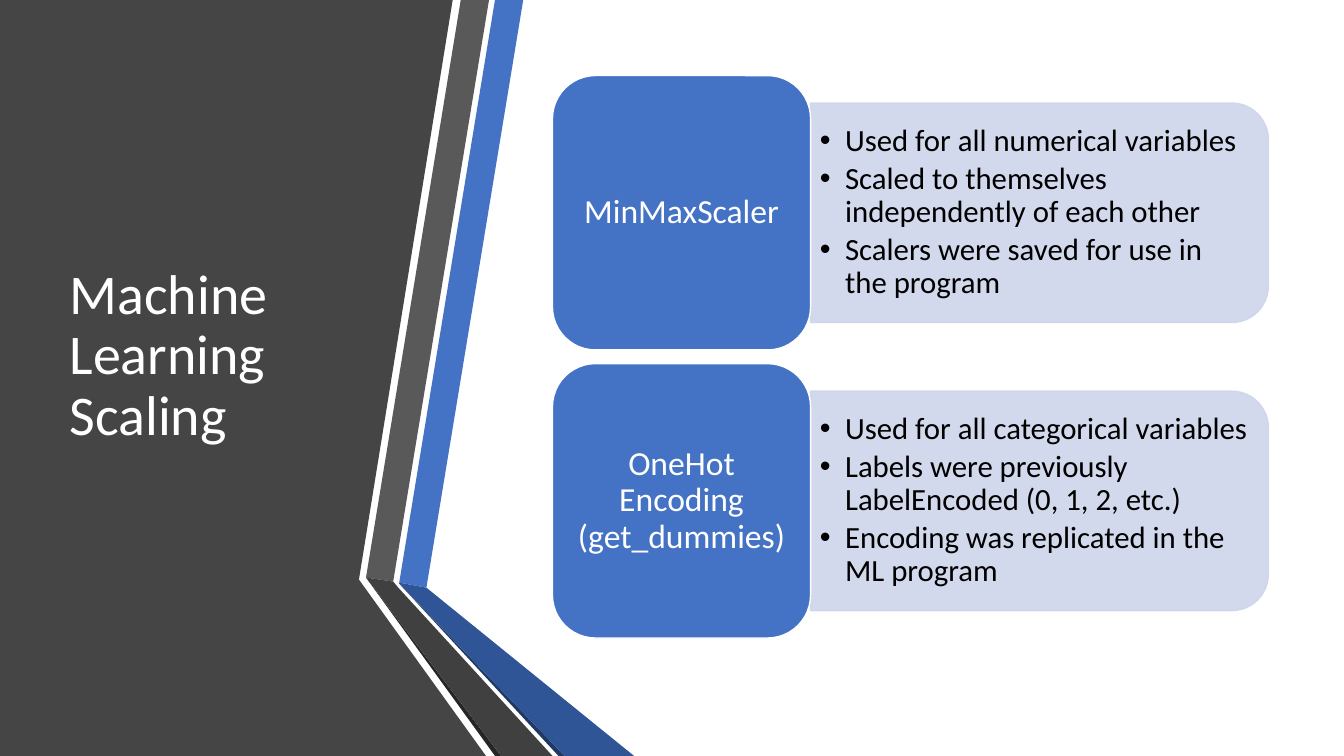
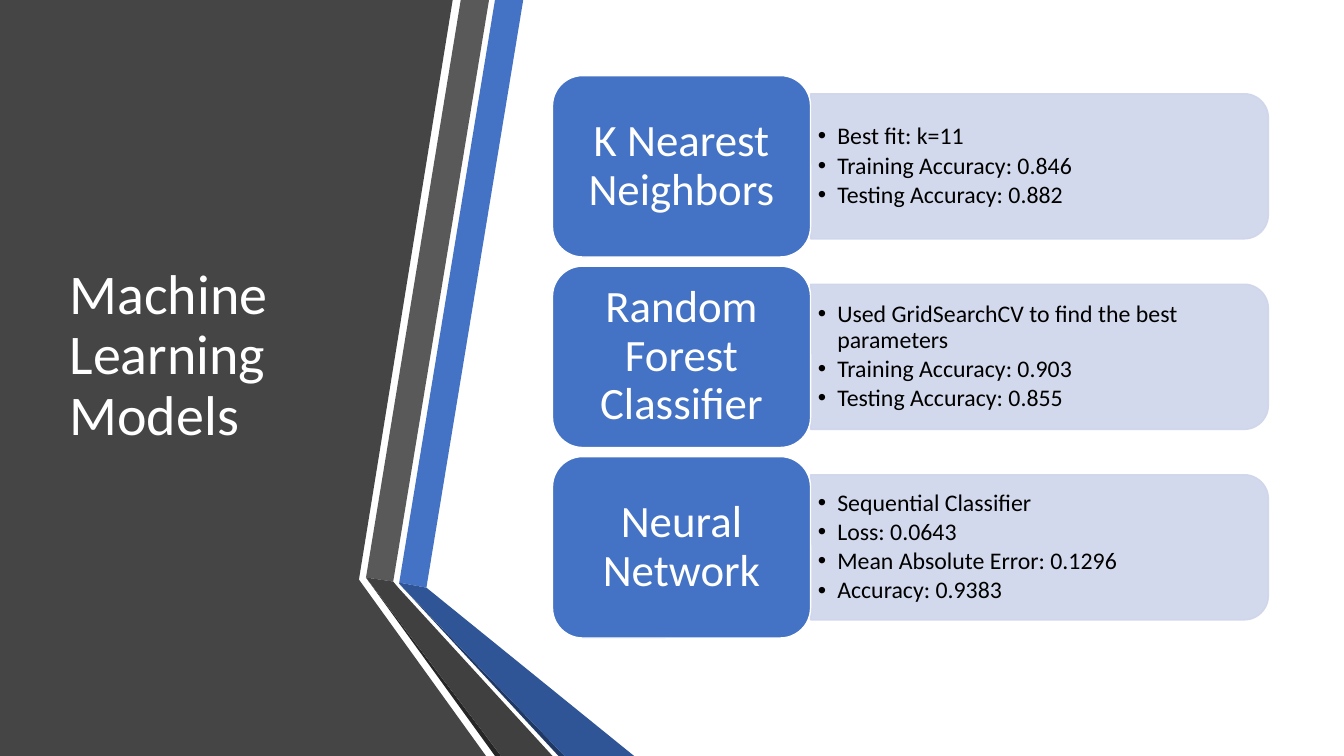
from lxml.etree import SubElement
from pptx import Presentation
from pptx.dml.color import RGBColor
from pptx.enum.shapes import MSO_SHAPE
from pptx.enum.text import MSO_ANCHOR, MSO_AUTO_SIZE, PP_ALIGN
from pptx.oxml.ns import qn
from pptx.util import Inches, Pt

HUES = {
    "wall": "454545", "blue": "4472C4", "navy": "2F5597", "deep": "203864",
    "grey": "595959", "dark": "404040", "coal": "262626",
    "pale": "CFD5EA", "white": "FFFFFF", "black": "000000",
}
BANDS = [
    ("wall", [(0, 0), (4.49, 0), (3.56, 5.75), (4.82, 7.5), (0, 7.5)]),
    ("blue", [(3.96, 5.78), (4.23, 5.83), (5.19, 0), (4.91, 0)]),
    ("grey", [(4.85, 0), (4.57, 0), (3.63, 5.73), (3.9, 5.77)]),
    ("coal", [(3.63, 5.73), (4.91, 7.5), (4.97, 7.5)]),
    ("deep", [(3.96, 5.79), (5.54, 7.5), (5.6, 7.5)]),
    ("navy", [(3.96, 5.79), (5.6, 7.5), (6.29, 7.5), (4.23, 5.83), (3.96, 5.78)]),
    ("dark", [(5.48, 7.5), (3.95, 5.83), (3.9, 5.77), (3.63, 5.73), (4.97, 7.5)]),
]
TOP, TALL = 0.75, 5.58
NODE_X, NODE_W = 5.48, 2.56
LIST_X, LIST_W = NODE_X + NODE_W, 4.54
GAP = 0.05
PAGES = [
    ("Machine Learning Scaling", 24, 22, [
        ("MinMaxScaler", [
            "Used for all numerical variables",
            "Scaled to themselves independently of each other",
            "Scalers were saved for use in the program"]),
        ("OneHot Encoding (get_dummies)", [
            "Used for all categorical variables",
            "Labels were previously LabelEncoded (0, 1, 2, etc.)",
            "Encoding was replicated in the ML program"]),
    ]),
    ("Machine Learning Models", 32, 17, [
        ("K Nearest Neighbors", [
            "Best fit: k=11", "Training Accuracy: 0.846",
            "Testing Accuracy: 0.882"]),
        ("Random Forest Classifier", [
            "Used GridSearchCV to find the best parameters",
            "Training Accuracy: 0.903", "Testing Accuracy: 0.855"]),
        ("Neural Network", [
            "Sequential Classifier", "Loss: 0.0643",
            "Mean Absolute Error: 0.1296", "Accuracy: 0.9383"]),
    ]),
]


def put(item, form):
    for key, value in form.items():
        setattr(item, key, value)


class Deck:
    """Holds the shared style and the current slide."""

    def __init__(self):
        self.show = Presentation()
        put(self.show, {"slide_width": Inches(13.33), "slide_height": Inches(7.5)})

    def page(self):
        slide = self.show.slides.add_slide(self.show.slide_layouts[4])
        self.shapes = slide.shapes
        self.slots = list(slide.placeholders)[1:]
        for hue, points in BANDS:
            self.band(hue, points)

    def paint(self, shape, hue, edge=None):
        shape.shadow.inherit = False
        shape.fill.solid()
        shape.fill.fore_color.rgb = RGBColor.from_string(HUES[hue])
        if edge:
            shape.line.color.rgb = RGBColor.from_string(HUES[edge])
            shape.line.width = Pt(1)
        else:
            shape.line.fill.background()

    def band(self, hue, points):
        spots = [(Inches(x), Inches(y)) for x, y in points]
        pen = self.shapes.build_freeform(*spots[0])
        pen.add_line_segments(spots[1:], close=True)
        self.paint(pen.convert_to_shape(), hue)

    def place(self, shape, left, top, width, height):
        put(shape, {"left": Inches(left), "top": Inches(top),
                    "width": Inches(width), "height": Inches(height)})
        self.shapes.element.append(shape.element)

    def label(self, shape, text, size, hue, align=PP_ALIGN.LEFT, after=0, pad=0.1):
        frame = shape.text_frame
        frame.text = text
        put(frame, {
            "word_wrap": True, "auto_size": MSO_AUTO_SIZE.NONE,
            "vertical_anchor": MSO_ANCHOR.MIDDLE,
            "margin_left": Inches(pad), "margin_right": Inches(pad),
            "margin_top": Inches(pad / 2), "margin_bottom": Inches(pad / 2)})
        for para in frame.paragraphs:
            put(para, {"alignment": align, "line_spacing": 0.9,
                       "space_before": Pt(0), "space_after": Pt(after)})
            for run in para.runs:
                put(run.font, {"name": "Calibri", "size": Pt(size), "bold": False})
                run.font.color.rgb = RGBColor.from_string(HUES[hue])

    def title(self, text):
        shape = self.shapes.title
        self.place(shape, 0.59, TOP, 3.04, TALL)
        self.label(shape, text, 40, "white")

    def panel(self, mid, height):
        shape = self.shapes.add_shape(
            MSO_SHAPE.ROUND_2_SAME_RECTANGLE,
            Inches(LIST_X + (LIST_W - height) / 2), Inches(mid - LIST_W / 2),
            Inches(height), Inches(LIST_W))
        shape.rotation = 90
        self.paint(shape, "pale", "pale")
        for tint in shape.element.spPr.iter(qn("a:srgbClr")):
            SubElement(tint, qn("a:alpha"), val="90000")

    def bullets(self, items, mid, height, size):
        shape = self.slots.pop(0)
        self.place(shape, LIST_X, mid - 0.45 * height,
                   LIST_W - GAP * height, 0.9 * height)
        self.label(shape, "\n".join(items), size, "black",
                   after=0.15 * size, pad=size / 240)
        dent = Inches(size / 88)
        for para in shape.text_frame.paragraphs:
            props = para._p.get_or_add_pPr()
            props.set("marL", str(dent))
            props.set("indent", str(-dent))
            SubElement(props, qn("a:buFont"), typeface="Arial")
            SubElement(props, qn("a:buChar"), char="•")

    def node(self, text, top, height, size):
        shape = self.shapes.add_shape(
            MSO_SHAPE.ROUNDED_RECTANGLE, Inches(NODE_X), Inches(top),
            Inches(NODE_W), Inches(height))
        self.paint(shape, "blue", "white")
        self.label(shape, text, size, "white", PP_ALIGN.CENTER, pad=size / 240)

    def rows(self, rows, big, small):
        count = len(rows)
        height = TALL / (count + GAP * (count - 1))
        for step, (name, items) in enumerate(rows):
            top = TOP + step * height * (1 + GAP)
            mid = top + height / 2
            self.panel(mid, 0.8 * height)
            self.bullets(items, mid, 0.8 * height, small)
            self.node(name, top, height, big)

    def trim(self):
        for slot in self.slots:
            self.shapes.element.remove(slot.element)


def main():
    deck = Deck()
    for title, big, small, rows in PAGES:
        deck.page()
        deck.title(title)
        deck.rows(rows, big, small)
        deck.trim()
    deck.show.save("out.pptx")


if __name__ == "__main__":
    main()
